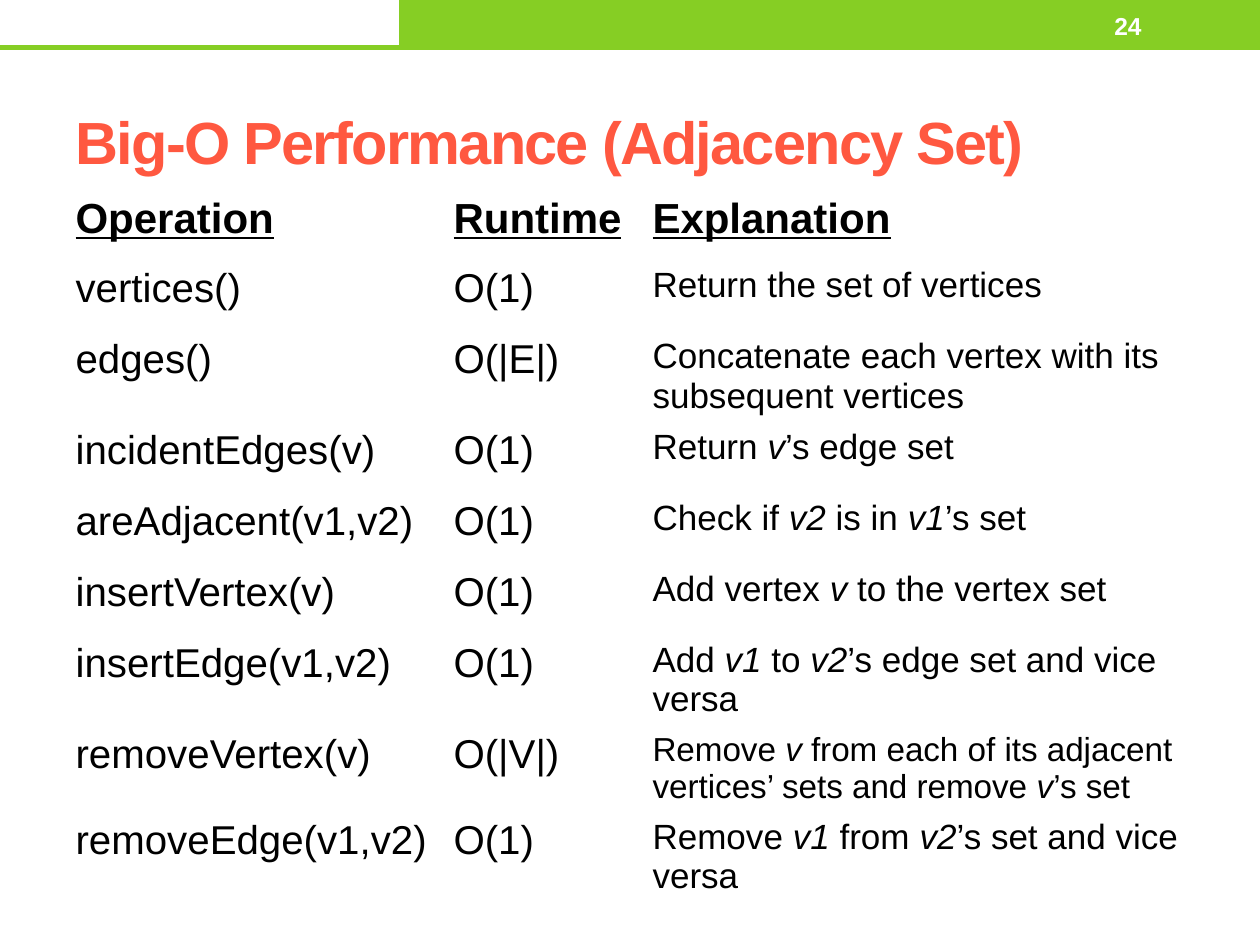
import pptx
import pptx.dml.color
import pptx.enum.shapes
import pptx.enum.text
import pptx.util

EMU_PER_PX = 914400 // 126
COLORS = {"bar": "86CE24", "title": "FF5840", "text": "000000", "white": "FFFFFF"}
FONT = "Arial"

COLUMN_WIDTHS = [378, 199, 567]
ROW_HEIGHT = 71
HEADINGS = ["Operation", "Runtime", "Explanation"]
# Asterisks enclose italic words; the last value is the explanation's size.
OPERATIONS = [
    ("vertices()", "O(1)", "Return the set of vertices", 20),
    ("edges()", "O(|E|)", "Concatenate each vertex with its subsequent vertices", 20),
    ("incidentEdges(v)", "O(1)", "Return *v*’s edge set", 20),
    ("areAdjacent(v1,v2)", "O(1)", "Check if *v2* is in *v1*’s set", 20),
    ("insertVertex(v)", "O(1)", "Add vertex *v* to the vertex set", 20),
    ("insertEdge(v1,v2)", "O(1)", "Add *v1* to *v2*’s edge set and vice versa", 20),
    ("removeVertex(v)", "O(|V|)",
     "Remove *v* from each of its adjacent vertices’ sets and remove *v*’s set", 19),
    ("removeEdge(v1,v2)", "O(1)", "Remove *v1* from *v2*’s set and vice versa", 20),
]


def px(*lengths):
    return [pptx.util.Emu(length * EMU_PER_PX) for length in lengths]


def rgb(name):
    return pptx.dml.color.RGBColor.from_string(COLORS[name])


def write_text(text_frame, text, size, color="text", **format_values):
    """Write one left-aligned paragraph, with the parts between asterisks in italics."""
    paragraph = text_frame.paragraphs[0]
    paragraph.alignment = pptx.enum.text.PP_ALIGN.LEFT
    for index, part in enumerate(text.split("*")):
        run = paragraph.add_run()
        run.text = part
        values = {"name": FONT, "size": pptx.util.Pt(size), "bold": False,
                  "italic": index % 2 == 1, **format_values}
        for attribute, value in values.items():
            setattr(run.font, attribute, value)
        run.font.color.rgb = rgb(color)
    return paragraph


def set_frame(text_frame):
    values = {"word_wrap": True,
              "auto_size": pptx.enum.text.MSO_AUTO_SIZE.NONE,
              "vertical_anchor": pptx.enum.text.MSO_ANCHOR.MIDDLE}
    for attribute, value in values.items():
        setattr(text_frame, attribute, value)


def add_bar(slide, box, color):
    shape = slide.shapes.add_shape(pptx.enum.shapes.MSO_SHAPE.RECTANGLE, *px(*box))
    shape.shadow.inherit = False
    shape.fill.solid()
    shape.fill.fore_color.rgb = rgb(color)
    shape.line.fill.background()


def set_title(slide, box, text):
    title = slide.shapes.title
    title.left, title.top, title.width, title.height = px(*box)
    set_frame(title.text_frame)
    paragraph = write_text(title.text_frame, text, 34, "title", bold=True)
    for run in paragraph.runs:
        run.font._element.set("spc", "-100")


def add_page_number(slide, box, text):
    text_box = slide.shapes.add_textbox(*px(*box))
    set_frame(text_box.text_frame)
    write_text(text_box.text_frame, text, 14, "white", bold=True)


def add_operations_table(slide, left, top):
    row_count = len(OPERATIONS) + 1
    box = px(left, top, sum(COLUMN_WIDTHS), row_count * ROW_HEIGHT)
    table = slide.shapes.add_table(row_count, len(HEADINGS), *box).table
    table.first_row = table.horz_banding = False
    for column, width in zip(table.columns, px(*COLUMN_WIDTHS)):
        column.width = width
    for row in table.rows:
        row.height = px(ROW_HEIGHT)[0]
    for cell in table.iter_cells():
        cell.fill.background()
    for column, heading in enumerate(HEADINGS):
        write_text(table.cell(0, column).text_frame, heading, 24,
                   bold=True, underline=True)
    for row, (*texts, explanation_size) in enumerate(OPERATIONS, start=1):
        for column, (text, size) in enumerate(zip(texts, [23, 23, explanation_size])):
            write_text(table.cell(row, column).text_frame, text, size)


def main():
    presentation = pptx.Presentation()
    presentation.slide_width, presentation.slide_height = px(1260, 945)
    slide = presentation.slides.add_slide(presentation.slide_layouts[5])
    add_bar(slide, (0, 0, 1260, 50), "bar")
    set_title(slide, (63, 73, 1134, 136), "Big-O Performance (Adjacency Set)")
    add_bar(slide, (0, 0, 399, 45), "white")
    add_page_number(slide, (1102, 3, 147, 45), "24")
    add_operations_table(slide, 63, 189)
    presentation.save("out.pptx")


if __name__ == "__main__":
    main()
